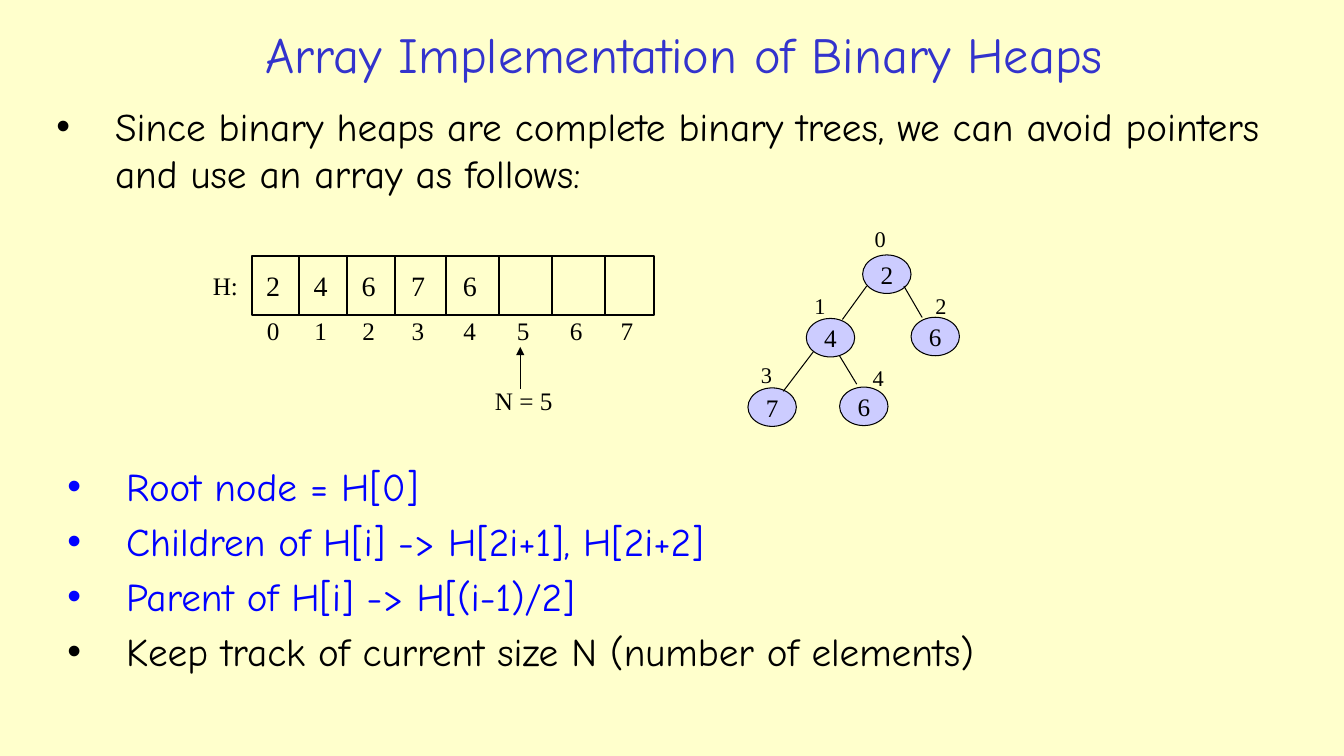
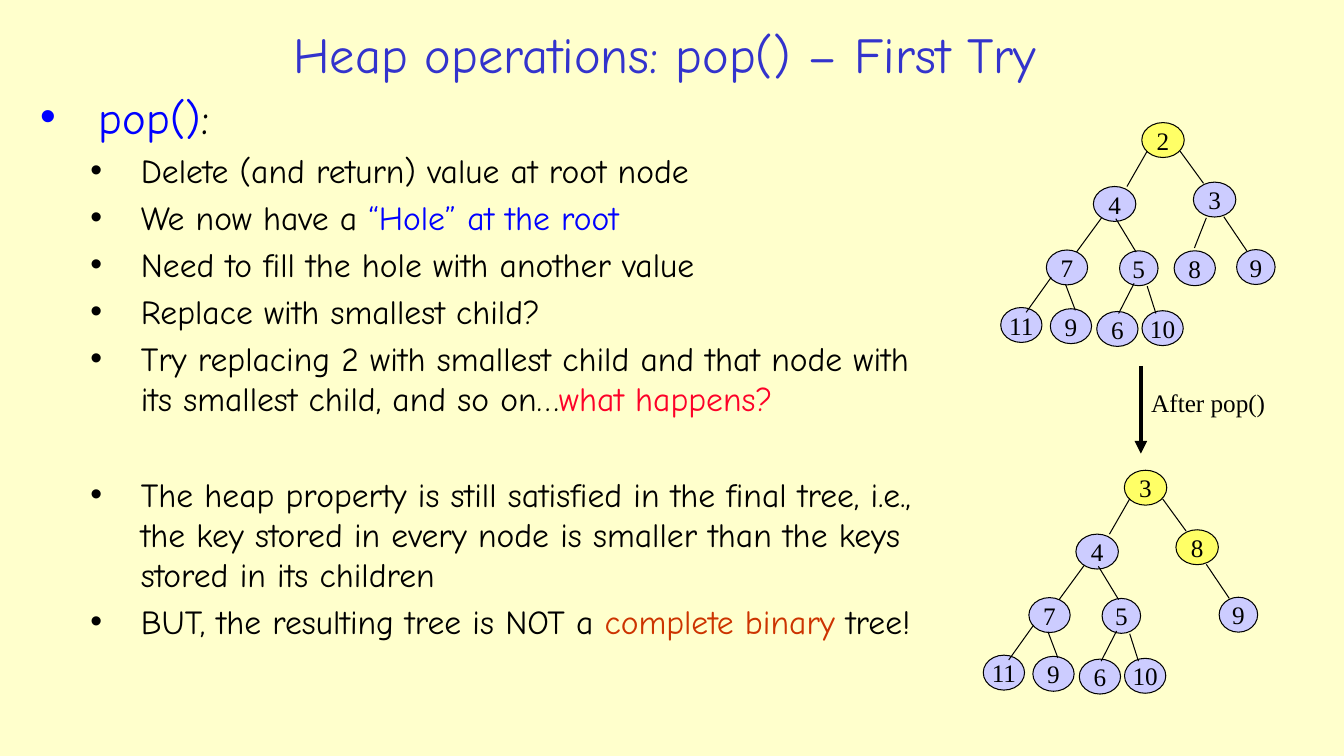
from lxml.etree import SubElement
from pptx import Presentation
from pptx.dml.color import RGBColor
from pptx.enum.shapes import MSO_CONNECTOR, MSO_SHAPE
from pptx.enum.text import MSO_ANCHOR, PP_ALIGN
from pptx.oxml.ns import qn
from pptx.util import Cm, Pt

COLORS = {
    "background": "FFFFCC",
    "title": "3333CC",
    "text": "000000",
    "blue": "0000FF",
    "red": "FD0128",
    "rust": "CC3300",
    "node": "CCCCFF",
    "changed": "FFFF66",
}
BODY_FONT = "Comic Neue"
DIAGRAM_FONT = "Times New Roman"

ARRAY_TOP, ARRAY_HEIGHT = 6.45, 1.5
CELL_EDGES = [6.35, 7.54, 8.74, 9.96, 11.23, 12.57, 13.92, 15.24, 16.48]
ARRAY_VALUES = [2, 4, 6, 7, 6]

# Each node: center x, center y, width, edge from its parent
SMALL_HEAP = [
    (22.35, 6.91, 1.22, None),
    (20.93, 8.51, 1.22, (21.84, 7.21, 21.23, 8.05)),
    (23.57, 8.48, 1.22, (22.78, 7.21, 23.24, 8)),
    (19.46, 10.26, 1.22, (20.5, 8.86, 19.74, 9.86)),
    (21.77, 10.24, 1.22, (21.16, 8.97, 21.59, 9.68)),
]
INDEX_LABELS = [(21.79, 5.54), (20.27, 7.24), (23.32, 7.24), (18.92, 8.97), (21.74, 9.04)]
LARGE_HEAP = [
    (29.31, 3.53, 1.07, None),
    (28.09, 5.14, 1.07, (28.91, 3.81, 28.4, 4.7)),
    (30.61, 5.03, 1.07, (29.74, 3.81, 30.33, 4.62)),
    (26.89, 6.74, 1.04, (27.76, 5.49, 27.13, 6.35)),
    (28.7, 6.76, 0.97, (28.12, 5.51, 28.63, 6.35)),
    (30.11, 6.76, 1.04, (30.4, 5.49, 30.1, 6.25)),
    (31.65, 6.73, 0.97, (30.84, 5.46, 31.42, 6.32)),
    (25.74, 8.19, 1.04, (26.49, 6.99, 25.86, 7.87)),
    (26.99, 8.22, 1.04, (26.85, 7.16, 27.1, 7.82)),
    (28.16, 8.29, 1.04, (28.58, 7.14, 28.19, 7.9)),
    (29.3, 8.27, 1.04, (28.91, 7.21, 29.13, 7.9)),
]


def color(name):
    return RGBColor.from_string(COLORS[name])


def set_font(font, name, size, color_name="text"):
    font.name = name
    font.size = Pt(size)
    font.color.rgb = color(color_name)


def add_titled_slide(presentation, title, left, width):
    slide = presentation.slides.add_slide(presentation.slide_layouts[5])
    shape = slide.shapes.title
    shape.left, shape.top, shape.width, shape.height = Cm(left), Cm(0.38), Cm(width), Cm(1.93)
    shape.text_frame.text = title
    shape.text_frame.vertical_anchor = MSO_ANCHOR.MIDDLE
    paragraph = shape.text_frame.paragraphs[0]
    paragraph.alignment = PP_ALIGN.CENTER
    set_font(paragraph.font, BODY_FONT, 36, "title")
    return slide


def add_bullets(slide, left, top, width, height, items):
    box = slide.shapes.add_textbox(Cm(left), Cm(top), Cm(width), Cm(height))
    frame = box.text_frame
    frame.word_wrap = True
    for index, (level, size, gap, pieces) in enumerate(items):
        paragraph = frame.paragraphs[0] if index == 0 else frame.add_paragraph()
        paragraph.level = level
        paragraph.space_before = Pt(gap)
        margin, hang = [(1.48, 1.48), (2.54, 1.27)][level]
        properties = paragraph._p.get_or_add_pPr()
        properties.set("marL", str(Cm(margin)))
        properties.set("indent", str(-Cm(hang)))
        SubElement(properties, qn("a:buFont"), typeface="Arial")
        SubElement(properties, qn("a:buChar"), char="•")
        set_font(paragraph.font, BODY_FONT, size, pieces[0][1])
        for text, color_name in pieces:
            run = paragraph.add_run()
            run.text = text
            if len(pieces) > 1:
                run.font.color.rgb = color(color_name)


def add_label(slide, left, top, width, text, size=18):
    box = slide.shapes.add_textbox(Cm(left), Cm(top), Cm(width), Cm(1))
    box.text_frame.word_wrap = False
    box.text_frame.text = str(text)
    paragraph = box.text_frame.paragraphs[0]
    paragraph.alignment = PP_ALIGN.CENTER
    set_font(paragraph.font, DIAGRAM_FONT, size)


def add_line(slide, x1, y1, x2, y2, weight=0.75, arrow=False):
    line = slide.shapes.add_connector(MSO_CONNECTOR.STRAIGHT, Cm(x1), Cm(y1), Cm(x2), Cm(y2))
    line.line.color.rgb = color("text")
    line.line.width = Pt(weight)
    if arrow:
        SubElement(line.line._get_or_add_ln(), qn("a:tailEnd"), type="triangle")
    SubElement(line._element.spPr, qn("a:effectLst"))


def add_node(slide, x, y, width, height, value, fill):
    node = slide.shapes.add_shape(
        MSO_SHAPE.OVAL, Cm(x - width / 2), Cm(y - height / 2), Cm(width), Cm(height))
    node.shadow.inherit = False
    node.fill.solid()
    node.fill.fore_color.rgb = color(fill)
    node.line.color.rgb = color("text")
    node.line.width = Pt(0.75)
    frame = node.text_frame
    frame.word_wrap = False
    frame.vertical_anchor = MSO_ANCHOR.MIDDLE
    frame.text = str(value)
    frame.paragraphs[0].alignment = PP_ALIGN.CENTER
    set_font(frame.paragraphs[0].font, DIAGRAM_FONT, 18)


def add_heap(slide, nodes, values, height, changed=(), dx=0, dy=0):
    for index, ((x, y, width, edge), value) in enumerate(zip(nodes, values)):
        if value is None:
            continue
        fill = "changed" if index in changed else "node"
        add_node(slide, x + dx, y + dy, width, height, value, fill)
        if edge:
            x1, y1, x2, y2 = edge
            add_line(slide, x1 + dx, y1 + dy, x2 + dx, y2 + dy)


def add_array(slide):
    left, right = CELL_EDGES[0], CELL_EDGES[-1]
    frame = slide.shapes.add_shape(
        MSO_SHAPE.RECTANGLE, Cm(left), Cm(ARRAY_TOP), Cm(right - left), Cm(ARRAY_HEIGHT))
    frame.shadow.inherit = False
    frame.fill.background()
    frame.line.color.rgb = color("text")
    frame.line.width = Pt(1.5)
    for x in CELL_EDGES[1:-1]:
        add_line(slide, x, ARRAY_TOP, x, ARRAY_TOP + ARRAY_HEIGHT, 1.5)
    label_width = 0.86
    for index, (start, end) in enumerate(zip(CELL_EDGES, CELL_EDGES[1:])):
        label_left = (start + end - label_width) / 2 - 0.06
        if index < len(ARRAY_VALUES):
            add_label(slide, label_left, 6.65, label_width, ARRAY_VALUES[index], 20)
        add_label(slide, label_left, 7.82, label_width, index)
    add_label(slide, 5.11, 6.68, 1.14, "H:")
    add_line(slide, 13.11, 9.8, 13.11, 8.74, arrow=True)
    add_label(slide, 12.22, 9.58, 1.96, "N = 5")


def build_array_slide(presentation):
    slide = add_titled_slide(presentation, "Array Implementation of Binary Heaps", 1.45, 31.57)
    introduction = ("Since binary heaps are complete binary trees, we can avoid pointers "
                    "and use an array as follows:")
    add_bullets(slide, 1.17, 2.46, 31.62, 2.79, [(0, 28, 5.6, [(introduction, "text")])])
    add_array(slide)
    add_heap(slide, SMALL_HEAP, ARRAY_VALUES, 0.97)
    for index, (left, top) in enumerate(INDEX_LABELS):
        add_label(slide, left, top, 0.79, index, 16)
    rules = [
        ("Root node = H[0]", "blue"),
        ("Children of H[i] -> H[2i+1], H[2i+2]", "blue"),
        ("Parent of H[i] -> H[(i-1)/2]", "blue"),
        ("Keep track of current size N (number of elements)", "text"),
    ]
    add_bullets(slide, 1.45, 11.53, 31.37, 5.64, [(0, 28, 5.6, [rule]) for rule in rules])


def build_pop_slide(presentation):
    slide = add_titled_slide(presentation, "Heap operations: pop() – First Try", 4.27, 24.97)
    steps = [
        [("Delete (and return) value at root node", "text")],
        [("We now have a ", "text"), ("“Hole” at the root", "blue")],
        [("Need to fill the hole with another value", "text")],
        [("Replace with smallest child?", "text")],
        [("Try replacing 2 with smallest child and that node with its smallest child, "
          "and so on…", "text"), ("what happens?", "red")],
    ]
    conclusion = ("The heap property is still satisfied in the final tree, i.e., the key stored "
                  "in every node is smaller than the keys stored in its children")
    caveat = [("BUT, the resulting tree is NOT a ", "text"), ("complete binary", "rust"),
              (" tree!", "text")]
    add_bullets(slide, 0.76, 2.13, 23.42, 15.65, [
        (0, 32, 6.4, [("pop()", "blue"), (":", "text")]),
        *[(1, 24, 4.8, step) for step in steps],
        (1, 24, 39.2, [(conclusion, "text")]),
        (1, 24, 4.8, caveat),
    ])
    add_heap(slide, LARGE_HEAP, [2, 4, 3, 7, 5, 8, 9, 11, 9, 6, 10], 0.88, {0})
    add_line(slide, 28.75, 9.22, 28.75, 11.43, 3, arrow=True)
    add_label(slide, 28.75, 9.63, 3.4, "After pop()")
    add_heap(slide, LARGE_HEAP, [3, 4, 8, 7, 5, None, 9, 11, 9, 6, 10], 0.88, {0, 2},
             dx=-0.44, dy=8.76)


def main():
    presentation = Presentation()
    presentation.slide_width, presentation.slide_height = Cm(33.87), Cm(19.05)
    background = presentation.slide_master.background.fill
    background.solid()
    background.fore_color.rgb = color("background")
    build_array_slide(presentation)
    build_pop_slide(presentation)
    presentation.save("out.pptx")


if __name__ == "__main__":
    main()
